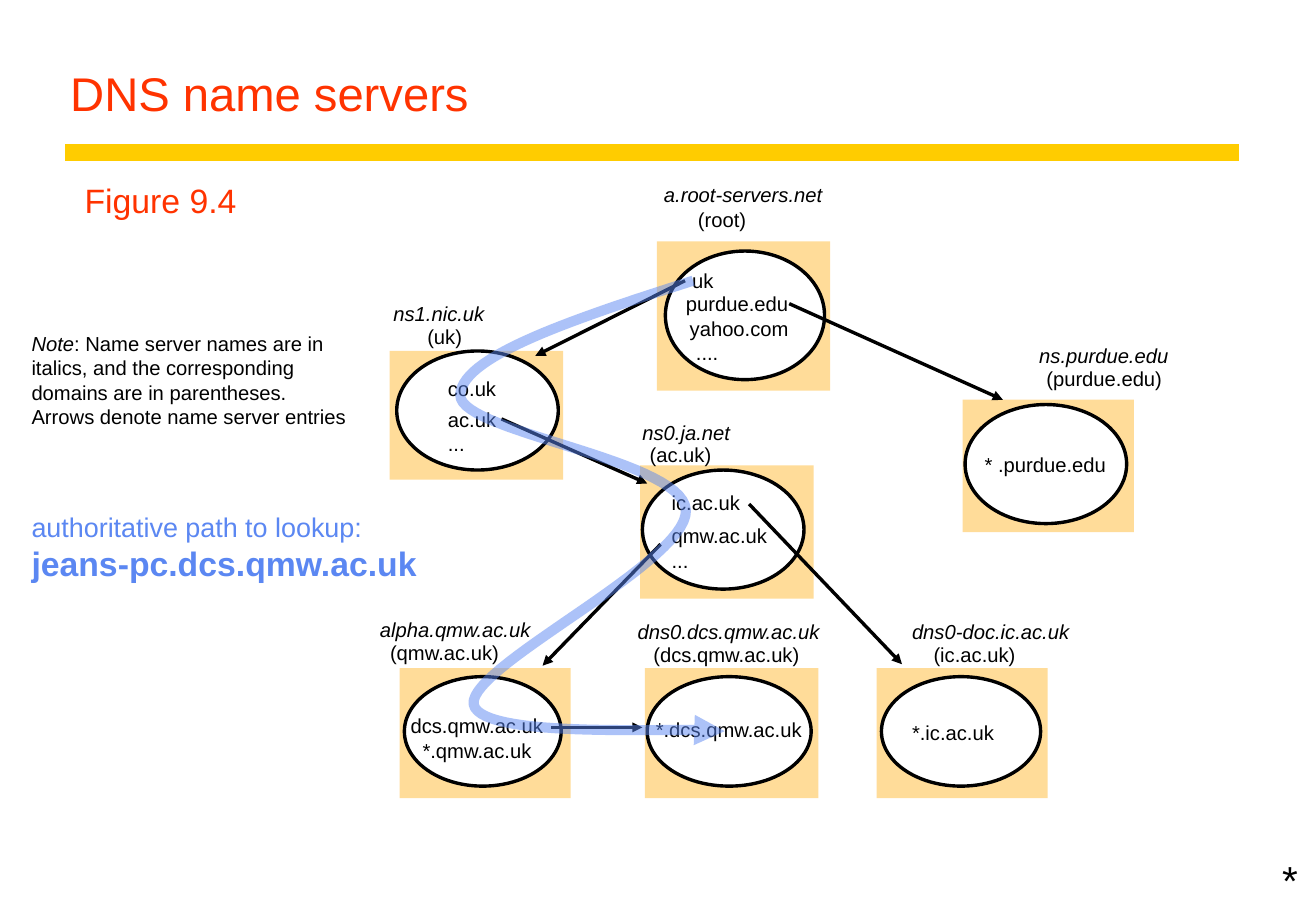
from lxml import etree
from pptx import Presentation
from pptx.dml.color import RGBColor
from pptx.enum import shapes as sh, text as tx
from pptx.oxml.ns import qn
from pptx.util import Cm, Pt

RED = RGBColor(0xFF, 0x33, 0x00)
GOLD = RGBColor(0xFF, 0xCC, 0x00)
SAND = RGBColor(0xFF, 0xDC, 0x99)
BLUE = RGBColor(0x5B, 0x87, 0xF2)
BLACK = RGBColor(0, 0, 0)
WHITE = RGBColor(0xFF, 0xFF, 0xFF)

SERVERS = [
    ((13.74, 5.05, 3.63, 3.12), (0.18, 0.2, 3.33, 2.69),
     ("a.root-servers.net", 0.15, -1.24), ("(root)", 0.86, -0.71),
     [("uk", 0.74, 0.56), ("purdue.edu", 0.61, 1.04),
      ("yahoo.com", 0.69, 1.57), ("....", 0.82, 2.06)]),
    ((8.15, 7.34, 3.63, 2.69), (0.15, 0, 3.38, 2.49),
     ("ns1.nic.uk", 0.08, -1.04), ("(uk)", 0.79, -0.56),
     [("co.uk", 1.22, 0.53), ("ac.uk\n...", 1.22, 1.17)]),
    ((13.39, 9.73, 3.63, 2.79), (0.05, 0.1, 3.38, 2.49),
     ("ns0.ja.net", 0.05, -0.94), ("(ac.uk)", 0.2, -0.48),
     [("ic.ac.uk", 0.66, 0.53), ("qmw.ac.uk\n...", 0.66, 1.22)]),
    ((20.14, 8.36, 3.58, 2.77), (0.05, 0.1, 3.38, 2.49),
     ("ns.purdue.edu", 1.6, -1.19), ("(purdue.edu)", 1.75, -0.71),
     [("* .purdue.edu", 0.46, 1.09)]),
    ((8.36, 13.97, 3.58, 2.72), (0.1, 0.18, 3.28, 2.29),
     ("alpha.qmw.ac.uk", -0.41, -1.07), ("(qmw.ac.uk)", -0.2, -0.58),
     [("dcs.qmw.ac.uk", 0.23, 0.94), ("*.qmw.ac.uk", 0.48, 1.47)]),
    ((13.49, 13.97, 3.63, 2.72), (0.05, 0.18, 3.43, 2.29),
     ("dns0.dcs.qmw.ac.uk", -0.15, -1.02), ("(dcs.qmw.ac.uk)", 0.18, -0.53),
     [("*.dcs.qmw.ac.uk", 0.23, 1.04)]),
    ((18.34, 13.97, 3.58, 2.72), (0.1, 0.18, 3.33, 2.29),
     ("dns0-doc.ic.ac.uk", 0.74, -1.02), ("(ic.ac.uk)", 1.19, -0.53),
     [("*.ic.ac.uk", 0.74, 1.09)]),
]

LINKS = [
    (14.33, 5.87, 11.2, 7.44),
    (16.51, 6.35, 20.98, 8.36),
    (10.49, 8.76, 13.54, 10.11),
    (15.67, 10.54, 18.87, 13.89),
    (13.82, 11.38, 11.35, 13.92),
    (11.53, 15.21, 13.44, 15.21),
]

ROUTE = [
    (14.5, 5.87), (12.07, 6.65), (9.65, 7.44), (9.63, 8.26),
    (9.6, 9.04), (14.3, 9.6), (14.35, 10.67),
    (14.4, 11.76), (9.78, 13.94), (9.91, 14.73),
    (10.06, 15.49), (14.3, 15.19), (15.16, 15.29),
]


def style(para, size, color=BLACK, bold=False, slant=False):
    """Format every run of a paragraph."""
    for run in para.runs:
        font = run.font
        font.name, font.size = "Arial", Pt(size)
        font.bold, font.italic = bold, slant
        font.color.rgb = color


def write(slide, box, words, size=12, color=BLACK, slant=False, pad=False):
    """Add a left-aligned text box and return its frame."""
    frame = slide.shapes.add_textbox(*map(Cm, box)).text_frame
    frame.word_wrap = True
    if not pad:
        frame.margin_left = frame.margin_right = 0
        frame.margin_top = frame.margin_bottom = 0
    frame.text = words
    for para in frame.paragraphs:
        style(para, size, color, slant=slant)
    return frame


def label(slide, left, top, words, slant=False):
    """Add a small label sized to its text."""
    lines = words.split("\n")
    wide = 0.23 * max(map(len, lines)) + 0.1
    write(slide, (left, top, wide, 0.5 * len(lines)), words, slant=slant)


def fill(slide, kind, box, color):
    """Add a filled shape without outline or shadow."""
    shape = slide.shapes.add_shape(kind, *map(Cm, box))
    shape.shadow.inherit = False
    shape.fill.solid()
    shape.fill.fore_color.rgb = color
    shape.line.fill.background()
    return shape


def tip(shape):
    """Put a triangle at the end of a line."""
    edge = shape.element.spPr.find(qn("a:ln"))
    etree.SubElement(edge, qn("a:tailEnd"), type="triangle")


def rule(slide, ends, color, width):
    """Add a straight line without shadow."""
    link = slide.shapes.add_connector(sh.MSO_CONNECTOR.STRAIGHT, *map(Cm, ends))
    link.line.color.rgb = color
    link.line.width = Pt(width)
    etree.SubElement(link.element.spPr, qn("a:effectLst"))
    return link


def server(slide, box, oval, name, domain, rows):
    """Draw a name server with its labels and entries in a box."""
    left, top = box[:2]
    fill(slide, sh.MSO_SHAPE.RECTANGLE, box, SAND)
    ring = fill(slide, sh.MSO_SHAPE.OVAL,
                (left + oval[0], top + oval[1], *oval[2:]), WHITE)
    ring.line.color.rgb = BLACK
    ring.line.width = Pt(2)
    for words, x, y in [name, domain, *rows]:
        label(slide, left + x, top + y, words, slant=words == name[0])


def curve(knots, steps=30):
    """Return points along a chain of cubic curves."""
    spots = []
    for k in range(0, len(knots) - 1, 3):
        for n in range(1, steps + 1):
            t = n / steps
            parts = ((1 - t) ** 3, 3 * t * (1 - t) ** 2, 3 * t * t * (1 - t), t ** 3)
            spots.append(tuple(
                Cm(sum(p * knot[axis] for p, knot in zip(parts, knots[k:k + 4])))
                for axis in (0, 1)))
    return spots


def route(slide, knots):
    """Draw the translucent lookup path."""
    pen = slide.shapes.build_freeform(*map(Cm, knots[0]))
    pen.add_line_segments(curve(knots), close=False)
    trail = pen.convert_to_shape()
    trail.shadow.inherit = False
    trail.fill.background()
    trail.line.color.rgb = BLUE
    trail.line.width = Pt(6)
    edge = trail.element.spPr.find(qn("a:ln"))
    tint = edge.find(".//" + qn("a:srgbClr"))
    etree.SubElement(tint, qn("a:alpha"), val="50000")
    etree.SubElement(edge, qn("a:round"))
    tip(trail)


def header(slide, left, top, width):
    """Place the title, the rule and the figure number."""
    rule(slide, (left + 0.15, top + 2.54, left + width, top + 2.54), GOLD, 10)
    title = write(slide, (left, top, width, 2.03), "DNS name servers", 28, RED, pad=True)
    title.vertical_anchor = tx.MSO_ANCHOR.BOTTOM
    title.paragraphs[0].line_spacing = 0.9
    write(slide, (left + 0.3, top + 3, 3.9, 1.12), "Figure 9.4", 20, RED, pad=True)


def notes(slide, left, top):
    """Place the note and the lookup caption down the left side."""
    frame = write(slide, (left, top, 6.88, 2.03), "Note", slant=True)
    first = frame.paragraphs[0]
    first.add_run().text = (": Name server names are in italics, "
                            "and the corresponding domains are in parentheses.")
    last = frame.add_paragraph()
    last.text = "Arrows denote name server entries"
    style(first, 12)
    style(last, 12)
    first.runs[0].font.italic = True
    path = write(slide, (left, top + 3.74, 8.3, 1.52),
                 "authoritative path to lookup:\njeans-pc.dcs.qmw.ac.uk", 16, BLUE)
    style(path.paragraphs[1], 20, BLUE, bold=True)


def tree(slide):
    """Draw the servers, the links between them and the lookup path."""
    for item in SERVERS:
        server(slide, *item)
    for ends in LINKS:
        tip(rule(slide, ends, BLACK, 2))
    route(slide, ROUTE)


def main():
    """Build and save the slide."""
    deck = Presentation()
    deck.slide_width, deck.slide_height = Cm(27.53), Cm(19.05)
    slide = deck.slides.add_slide(deck.slide_layouts[6])
    header(slide, 1.22, 0.64, 24.69)
    tree(slide)
    notes(slide, 0.66, 6.93)
    write(slide, (26.57, 17.75, 0.84, 1.27), "*", 24, pad=True)
    deck.save("out.pptx")


if __name__ == "__main__":
    main()
